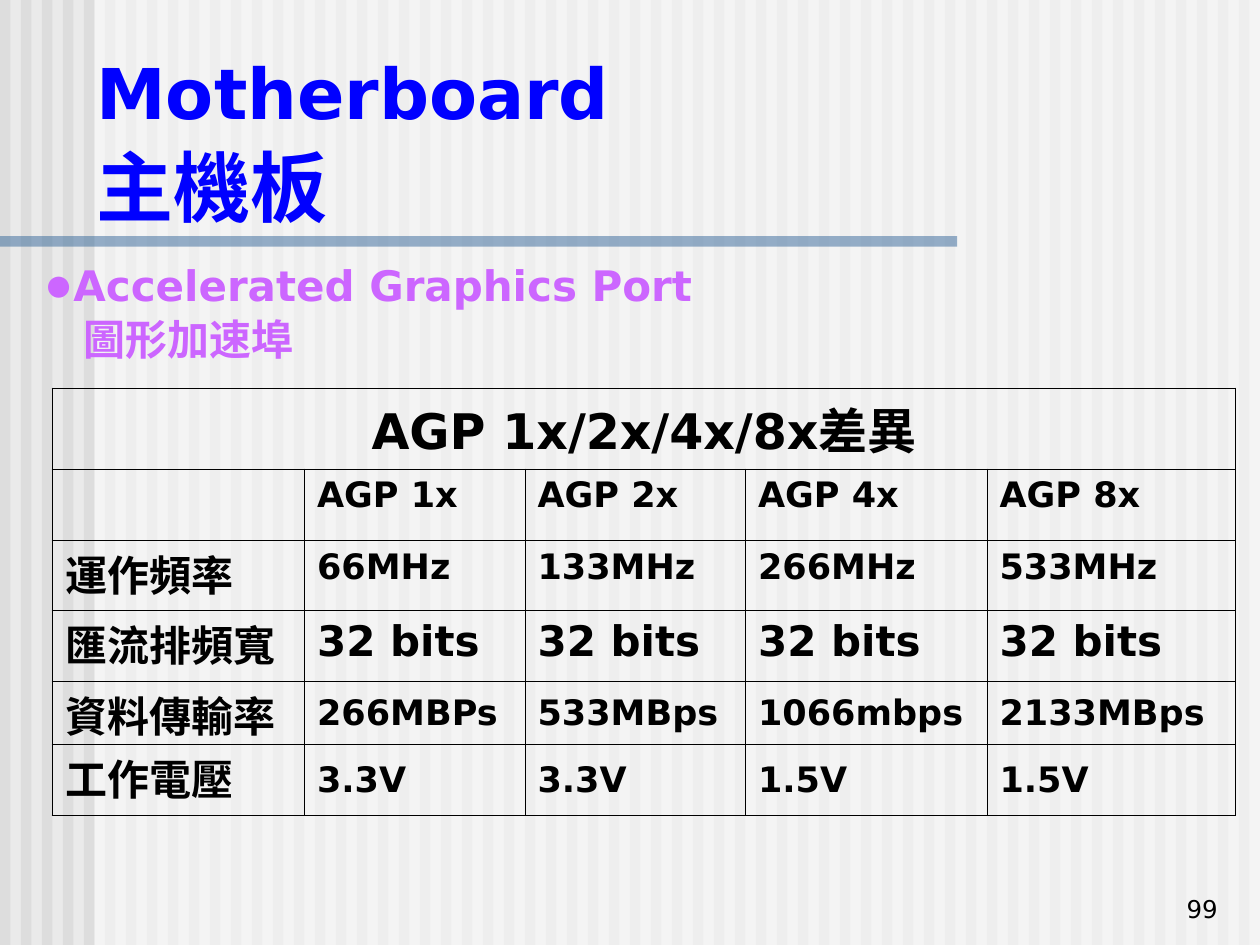
from pptx import Presentation
from pptx.dml.color import RGBColor
from pptx.enum.shapes import MSO_SHAPE as Shape
from pptx.enum.text import MSO_ANCHOR as Anchor, PP_ALIGN as Align
from pptx.oxml import parse_xml
from pptx.oxml.ns import nsdecls, qn
from pptx.util import Pt

WIDTH, HEIGHT = 720, 540
BACKDROP = RGBColor(0xEA, 0xEA, 0xEA)
STRIPE = RGBColor(0xDD, 0xDD, 0xDD)
WHITE = RGBColor(0xFF, 0xFF, 0xFF)
STEEL = RGBColor(0x33, 0x66, 0x99)
BLUE = RGBColor(0x00, 0x00, 0xFF)
VIOLET = RGBColor(0xCC, 0x66, 0xFF)
BLACK = RGBColor(0x00, 0x00, 0x00)
SANS = "DejaVu Sans"
COLUMNS = [144, 126, 126, 138, 142]
ROWS = [46, 41, 40, 40.5, 36, 40.5]
HEADING = "AGP 1x/2x/4x/8x差異"
CELLS = [
    ["", "AGP 1x", "AGP 2x", "AGP 4x", "AGP 8x"],
    ["運作頻率", "66MHz", "133MHz", "266MHz", "533MHz"],
    ["匯流排頻寬", "32 bits", "32 bits", "32 bits", "32 bits"],
    ["資料傳輸率", "266MBPs", "533MBps", "1066mbps", "2133MBps"],
    ["工作電壓", "3.3V", "3.3V", "1.5V", "1.5V"],
]


def write(para, text, size=20, color=BLACK, bold=True, font=SANS, align=Align.LEFT, spacing=None):
    para.alignment = align
    if spacing:
        para.line_spacing = Pt(spacing)
    span = para.add_run()
    span.text = text
    span.font.name = font
    span.font.size = Pt(size)
    span.font.bold = bold
    span.font.color.rgb = color


def add_rect(page, box, color, alpha=None):
    rect = page.shapes.add_shape(Shape.RECTANGLE, *map(Pt, box))
    rect.shadow.inherit = False
    rect.line.fill.background()
    rect.fill.solid()
    rect.fill.fore_color.rgb = color
    if alpha:
        tone = rect.fill._xPr.find(qn("a:solidFill"))[0]
        tone.append(parse_xml(f'<a:alpha {nsdecls("a")} val="{alpha * 1000}"/>'))


def add_frame(page, box, anchor=Anchor.TOP):
    frame = page.shapes.add_textbox(*map(Pt, box)).text_frame
    frame.word_wrap = True
    frame.vertical_anchor = anchor
    return frame


def add_backdrop(page, box):
    left, top, width, height = box
    page.background.fill.solid()
    page.background.fill.fore_color.rgb = BACKDROP
    for index in range(60):
        add_rect(page, (left + 12 * index, top, 6, height), STRIPE)
    add_rect(page, (left + 54, top, width - 54, height), WHITE, alpha=50)
    add_rect(page, (left, top + 135, 547, 6), STEEL, alpha=50)


def add_title(page, box):
    frame = add_frame(page, box)
    write(frame.paragraphs[0], "Motherboard", size=40, color=BLUE)
    write(frame.add_paragraph(), "主機板", size=44, color=BLUE, spacing=56)


def add_subtitle(page, box):
    frame = add_frame(page, box)
    first, second = frame.paragraphs[0], frame.add_paragraph()
    for para, indent in ((first, -22.5), (second, 0)):
        props = para._p.get_or_add_pPr()
        props.set("marL", str(Pt(22.5)))
        props.set("indent", str(Pt(indent)))
    write(first, "●", size=28, color=VIOLET, font="Arial")
    write(first, "Accelerated Graphics Port", size=24, color=VIOLET)
    write(second, "圖形加速埠", size=24, color=VIOLET, spacing=30)


def set_borders(cell, widths):
    props = cell._tc.get_or_add_tcPr()
    for index, (side, width) in enumerate(zip("LRTB", widths)):
        props.insert(index, parse_xml(
            f'<a:ln{side} {nsdecls("a")} w="{Pt(width)}"><a:solidFill>'
            f'<a:srgbClr val="{BLACK}"/></a:solidFill></a:ln{side}>'))


def add_comparison(page, box):
    table = page.shapes.add_table(len(ROWS), len(COLUMNS), *map(Pt, box)).table
    table.first_row = table.horz_banding = False
    for column, width in zip(table.columns, COLUMNS):
        column.width = Pt(width)
    for row, height in zip(table.rows, ROWS):
        row.height = Pt(height)
    last_row, last_column = len(ROWS) - 1, len(COLUMNS) - 1
    for r in range(len(ROWS)):
        for c in range(len(COLUMNS)):
            cell = table.cell(r, c)
            cell.fill.background()
            outer = (c == 0, c == last_column, r == 0, r == last_row)
            set_borders(cell, [1.08 if edge else 0.45 for edge in outer])
            text = CELLS[r - 1][c] if r else ""
            if not text:
                continue
            para = cell.text_frame.paragraphs[0]
            if c == 0:
                cell.margin_top, cell.margin_bottom = Pt(4), 0
                write(para, text, size=24, spacing=32)
            else:
                cell.vertical_anchor = Anchor.MIDDLE if r >= 4 else Anchor.TOP
                write(para, text, size=24 if r == 3 else 20)
    heading = table.cell(0, 0)
    heading.merge(table.cell(0, last_column))
    heading.margin_top, heading.margin_bottom = Pt(10), Pt(3)
    heading.vertical_anchor = Anchor.MIDDLE
    write(heading.text_frame.paragraphs[0], HEADING, size=28, align=Align.CENTER, spacing=33)


def add_page_number(page, box):
    frame = add_frame(page, box, anchor=Anchor.BOTTOM)
    write(frame.paragraphs[0], "99", size=14, bold=False, align=Align.RIGHT)


def main():
    deck = Presentation()
    deck.slide_width, deck.slide_height = Pt(WIDTH), Pt(HEIGHT)
    page = deck.slides.add_slide(deck.slide_layouts[6])
    add_backdrop(page, (0, 0, WIDTH, HEIGHT))
    add_title(page, (48, 25, 630, 110))
    add_subtitle(page, (18, 140.5, 660, 70))
    add_comparison(page, (30, 222, sum(COLUMNS), sum(ROWS)))
    add_page_number(page, (553, 495, 150, 36))
    deck.save("out.pptx")


if __name__ == "__main__":
    main()
